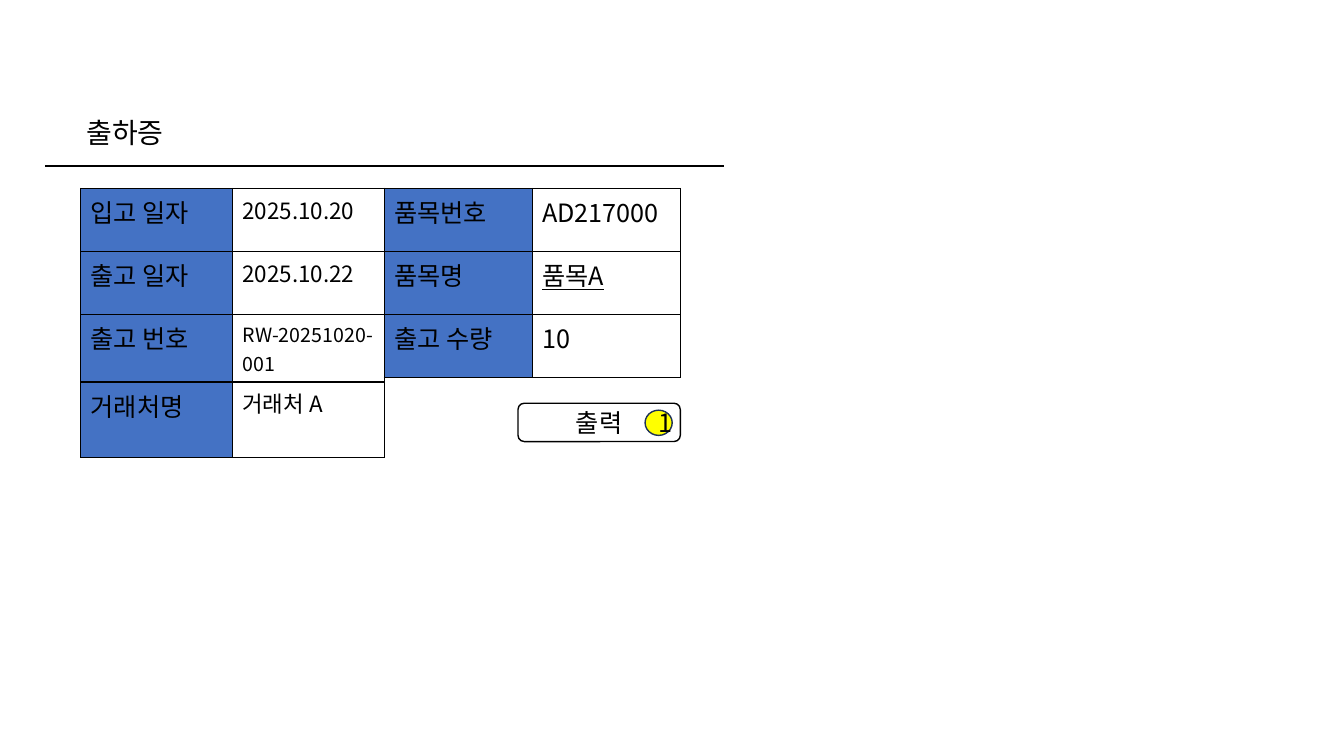
from pptx import Presentation
from pptx.dml.color import RGBColor
from pptx.enum.shapes import MSO_CONNECTOR, MSO_SHAPE
from pptx.enum.text import MSO_ANCHOR, PP_ALIGN
from pptx.oxml.ns import qn
from pptx.util import Pt
from lxml import etree

RECT, ROUND, OVAL = MSO_SHAPE.RECTANGLE, MSO_SHAPE.ROUNDED_RECTANGLE, MSO_SHAPE.OVAL
STRAIGHT = MSO_CONNECTOR.STRAIGHT
MIDDLE, CENTER = MSO_ANCHOR.MIDDLE, PP_ALIGN.CENTER
INK = {"black": "000000", "white": "FFFFFF", "blue": "4472C4",
       "yellow": "FFFF00", "navy": "1E3256"}


class Form:
    """Draws the parts of a shipping form on one slide in a shared style."""

    face = "Noto Sans CJK KR"

    def __init__(self, slide):
        self.slide = slide

    def color(self, name):
        return RGBColor.from_string(INK[name])

    def text(self, frame, words, size, under=None):
        para = frame.paragraphs[0]
        para.add_run().text = words
        font = para.font
        font.name, font.size, font.underline = self.face, Pt(size), under
        font.color.rgb = self.color("black")
        props = para._p.pPr.find(qn("a:defRPr"))
        etree.SubElement(props, qn("a:ea"), typeface=self.face)
        return para

    def shape(self, kind, box, words, size, fill="white", line="black"):
        item = self.slide.shapes.add_shape(kind, *map(Pt, box))
        item.shadow.inherit = False
        item.fill.solid()
        item.fill.fore_color.rgb = self.color(fill)
        item.line.color.rgb = self.color(line)
        item.line.width = Pt(1)
        item.text_frame.vertical_anchor = MIDDLE
        self.text(item.text_frame, words, size).alignment = CENTER

    def rule(self, left, right, top):
        line = self.slide.shapes.add_connector(
            STRAIGHT, Pt(left), Pt(top), Pt(right), Pt(top))
        line.line.color.rgb = self.color("black")
        line.line.width = Pt(1.5)
        etree.SubElement(line._element.spPr, qn("a:effectLst"))

    def border(self, cell):
        props = cell._tc.get_or_add_tcPr()
        for spot, side in enumerate(("lnL", "lnR", "lnT", "lnB")):
            edge = etree.Element(qn("a:" + side), w=str(Pt(1)))
            fill = etree.SubElement(edge, qn("a:solidFill"))
            etree.SubElement(fill, qn("a:srgbClr"), val=INK["black"])
            props.insert(spot, edge)

    def table(self, left, top, width, highs, rows):
        frame = self.slide.shapes.add_table(
            len(rows), 2, Pt(left), Pt(top), Pt(2 * width), Pt(sum(highs)))
        grid = frame.table
        for col in grid.columns:
            col.width = Pt(width)
        for y, (label, value, size, under) in enumerate(rows):
            grid.rows[y].height = Pt(highs[y])
            cells = ((label, 18, None, "blue"), (value, size, under, "white"))
            for x, (words, points, mark, fill) in enumerate(cells):
                cell = grid.cell(y, x)
                cell.fill.solid()
                cell.fill.fore_color.rgb = self.color(fill)
                self.border(cell)
                self.text(cell.text_frame, words, points, mark)


def main():
    deck = Presentation()
    deck.slide_width, deck.slide_height = Pt(960), Pt(540)
    form = Form(deck.slides.add_slide(deck.slide_layouts[6]))
    form.shape(RECT, (0, 49, 178.5, 91.5), "출하증", 20, line="white")
    form.rule(32.4, 517, 118.8)
    form.shape(ROUND, (370, 288, 116, 27.4), "출력", 18)
    form.shape(OVAL, (460.8, 293, 19.4, 18), "1", 18, "yellow", "navy")
    top, high = 134.6, 45.1
    form.table(57.6, top, 108.4, [high] * 3 + [54], [
        ("입고 일자", "2025.10.20", 16, None),
        ("출고 일자", "2025.10.22", 16, None),
        ("출고 번호", "RW-20251020-001", 14, None),
        ("거래처명", "거래처 A", 16, None)])
    form.table(274.4, top, 105.8, [high] * 3, [
        ("품목번호", "AD217000", 18, None),
        ("품목명", "품목A", 18, True),
        ("출고 수량", "10", 18, None)])
    deck.save("out.pptx")


if __name__ == "__main__":
    main()
